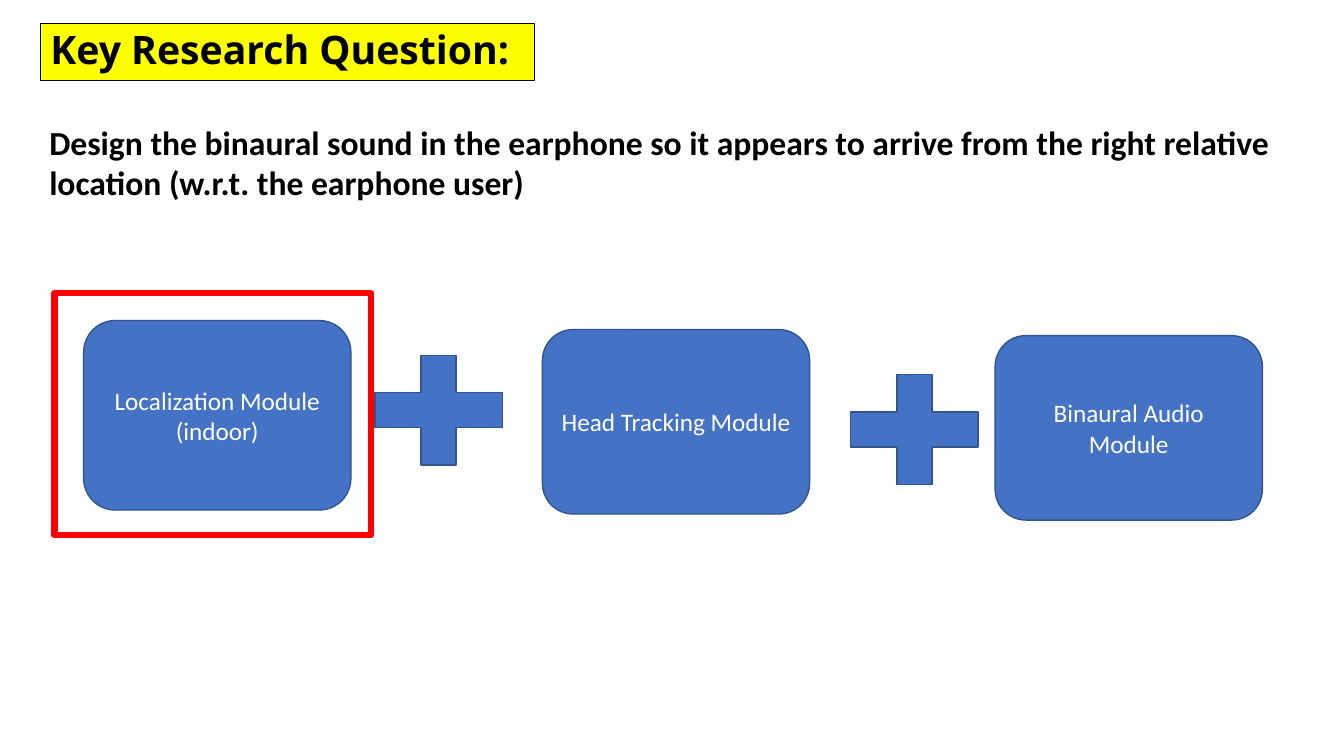
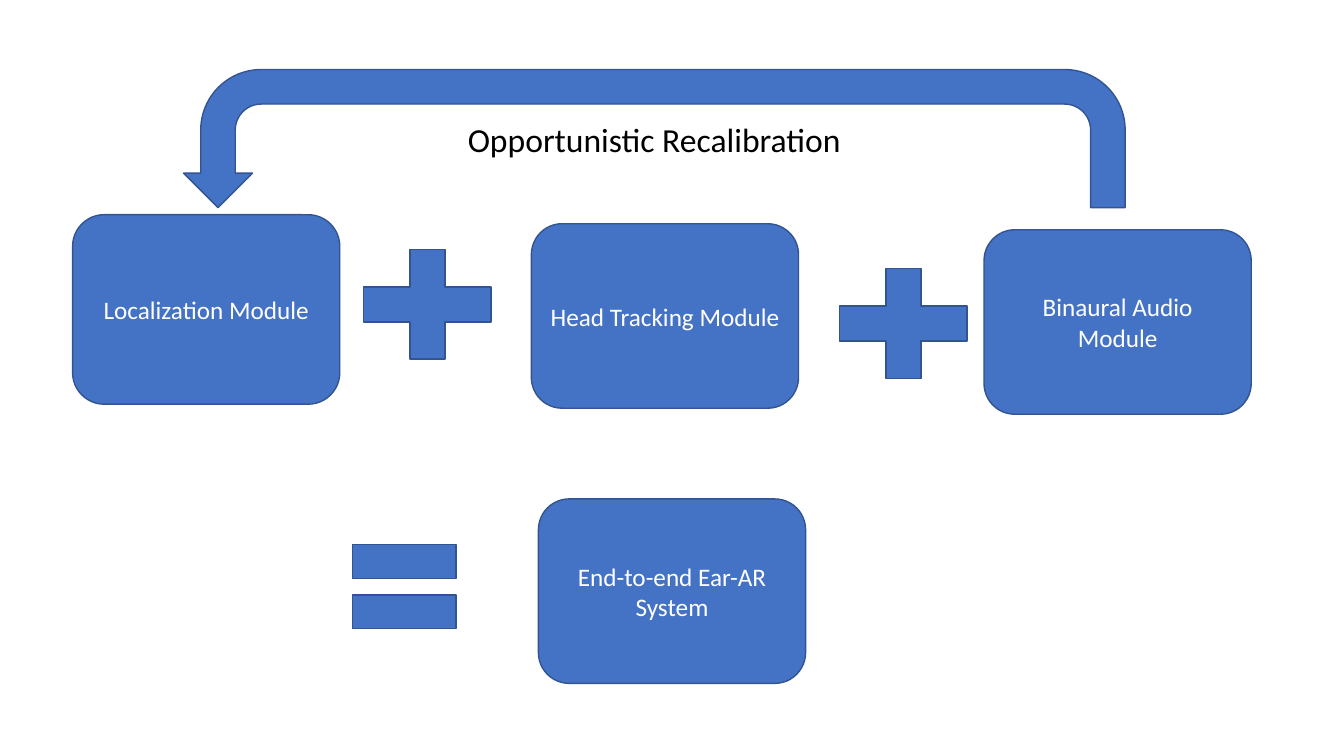
from pptx import Presentation
from pptx.dml.color import RGBColor
from pptx.enum.shapes import MSO_SHAPE as Shape
from pptx.enum.text import MSO_ANCHOR as Anchor, MSO_AUTO_SIZE as AutoSize, PP_ALIGN as Align
from pptx.util import Inches, Pt

BLUE, NAVY, WHITE, BLACK = "4472C4", "325491", "FFFFFF", "000000"
YELLOW, RED = "FFFF00", "FF0000"
TITLE_FONT, BODY_FONT = "Noto Sans", "Calibri"
TITLE_ONLY, BLANK = 5, 6

TITLE = "Key Research Question:"
QUESTION = ("Design the binaural sound in the earphone so it appears to arrive "
            "from the right relative location (w.r.t. the earphone user)")
RESULT = "End-to-end Ear-AR System"
FEEDBACK = "Opportunistic Recalibration"
LOCALIZATION, HEAD, AUDIO = "Localization Module", "Head Tracking Module", "Binaural Audio Module"

# Places in the module row, measured from the first module's corner
MODULE_W, MODULE_H = 2.65, 1.83
MODULE_PLACES = [(0, 0, 1.88), (4.55, 0.09, MODULE_H), (9.04, 0.15, MODULE_H)]
PLUS_PLACES = [(2.66, 0.15), (7.38, 0.34)]
PLUS_SIZE = (1.72, 1.48)


def color(hex_code):
    return RGBColor.from_string(hex_code)


def write(frame, text, size, hex_code, font=BODY_FONT, bold=False, align=Align.LEFT):
    frame.text = text
    for paragraph in frame.paragraphs:
        paragraph.alignment = align
        for run in paragraph.runs:
            run.font.name, run.font.size, run.font.bold = font, Pt(size), bold
            run.font.color.rgb = color(hex_code)


def place(shape, box):
    shape.left, shape.top, shape.width, shape.height = map(Inches, box)


def paint(shape, fill, line, width):
    if fill:
        shape.fill.solid()
        shape.fill.fore_color.rgb = color(fill)
    else:
        shape.fill.background()
    shape.line.color.rgb = color(line)
    shape.line.width = Pt(width)


def add_block(slide, kind, box, text="", size=18, text_color=WHITE,
              fill=BLUE, line=NAVY, width=1):
    block = slide.shapes.add_shape(kind, *map(Inches, box))
    block.shadow.inherit = False
    paint(block, fill, line, width)
    if text:
        frame = block.text_frame
        frame.word_wrap, frame.vertical_anchor = True, Anchor.MIDDLE
        write(frame, text, size, text_color, align=Align.CENTER)
    return block


def add_module(slide, box, text):
    add_block(slide, Shape.FLOWCHART_ALTERNATE_PROCESS, box, text)


def add_module_row(slide, left, top, labels):
    """Draw the three modules with a plus sign between neighbours."""
    for label, (dx, dy, height) in zip(labels, MODULE_PLACES):
        add_module(slide, (left + dx, top + dy, MODULE_W, height), label)
    for dx, dy in PLUS_PLACES:
        add_block(slide, Shape.MATH_PLUS, (left + dx, top + dy, *PLUS_SIZE))


def build_question(deck):
    slide = deck.slides.add_slide(deck.slide_layouts[TITLE_ONLY])
    title = slide.shapes.title
    place(title, (0.4, 0.23, 4.9, 0.57))
    paint(title, YELLOW, BLACK, 0.75)
    frame = title.text_frame
    write(frame, TITLE, 28, BLACK, TITLE_FONT, bold=True)
    frame.paragraphs[0].line_spacing = 0.9
    frame.word_wrap, frame.auto_size = False, AutoSize.NONE
    frame.vertical_anchor = Anchor.MIDDLE

    question = slide.shapes.add_textbox(*map(Inches, (0.39, 1.16, 12.95, 0.91)))
    question.text_frame.word_wrap = True
    write(question.text_frame, QUESTION, 24, BLACK, bold=True)

    add_module_row(slide, 0.83, 3.18, [LOCALIZATION + "\n(indoor)", HEAD, AUDIO])
    add_block(slide, Shape.RECTANGLE, (0.54, 2.91, 3.14, 2.4), fill=None, line=RED, width=4.5)


def build_system(deck):
    slide = deck.slides.add_slide(deck.slide_layouts[BLANK])
    add_module_row(slide, 0.72, 2.13, [LOCALIZATION, HEAD, AUDIO])
    add_block(slide, Shape.MATH_EQUAL, (3.31, 5.11, 1.4, 1.42))
    add_module(slide, (5.34, 4.95, MODULE_W, MODULE_H), RESULT)
    feedback = add_block(slide, Shape.U_TURN_ARROW, (1.82, 0.69, 9.34, 1.37),
                         FEEDBACK, 24, BLACK)
    for index, share in enumerate((0.25, 0.25, 0.25, 0.438, 1)):
        feedback.adjustments[index] = share
    feedback.element.spPr.xfrm.set("flipH", "1")


def main():
    deck = Presentation()
    deck.slide_width, deck.slide_height = Inches(13.33), Inches(7.5)
    build_question(deck)
    build_system(deck)
    deck.save("out.pptx")


if __name__ == "__main__":
    main()
